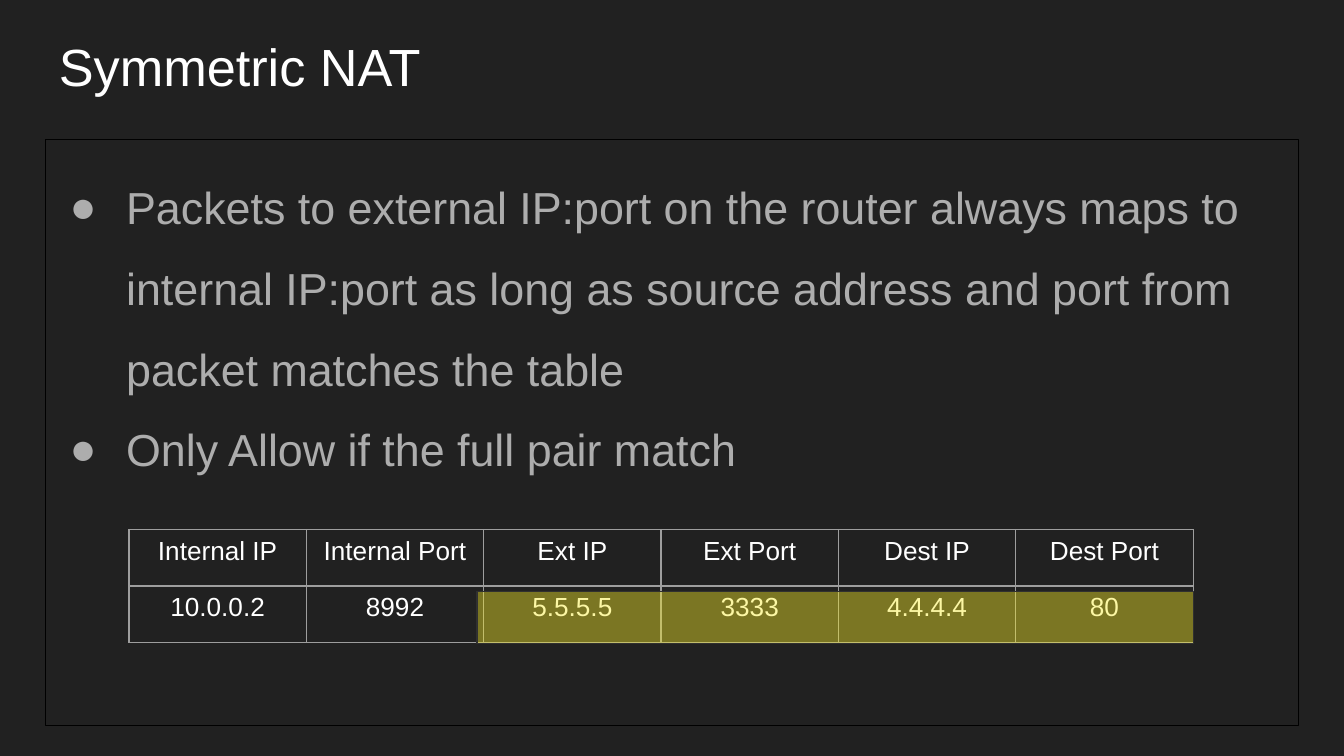
from dataclasses import dataclass

from lxml import etree
from pptx import Presentation
from pptx.dml.color import RGBColor
from pptx.enum.shapes import MSO_SHAPE
from pptx.enum.text import MSO_ANCHOR, PP_ALIGN
from pptx.oxml.ns import qn
from pptx.util import Inches, Pt

CENTER = PP_ALIGN.CENTER
TOP = MSO_ANCHOR.TOP
RECTANGLE = MSO_SHAPE.RECTANGLE

BACKGROUND = RGBColor(0x21, 0x21, 0x21)
WHITE = RGBColor(0xFF, 0xFF, 0xFF)
BLACK = RGBColor(0x00, 0x00, 0x00)
BODY_GRAY = RGBColor(0xAD, 0xAD, 0xAD)
BORDER_GRAY = RGBColor(0x9E, 0x9E, 0x9E)
YELLOW = RGBColor(0xF8, 0xEC, 0x28)
OUTLINE = RGBColor(0x30, 0x30, 0x30)

FONT = "Arial"
LINE_WIDTH = Pt(0.75)


@dataclass
class TextBlock:
    left: float
    top: float
    width: float
    height: float
    lines: list[str]
    size: int
    color: RGBColor
    line_spacing: float
    bulleted: bool = False


def set_font(paragraph, size: int, color: RGBColor) -> None:
    paragraph.font.name = FONT
    paragraph.font.size = Pt(size)
    paragraph.font.color.rgb = color


def add_bullet(paragraph, color: RGBColor) -> None:
    properties = paragraph._p.get_or_add_pPr()
    properties.set("marL", str(Inches(0.5)))
    properties.set("indent", str(Inches(-0.42)))
    bullet_color = etree.SubElement(properties, qn("a:buClr"))
    etree.SubElement(bullet_color, qn("a:srgbClr"), val=str(color))
    etree.SubElement(properties, qn("a:buFont"), typeface=FONT)
    etree.SubElement(properties, qn("a:buChar"), char="●")


def add_text(slide, block: TextBlock):
    box = slide.shapes.add_textbox(Inches(block.left), Inches(block.top),
                                   Inches(block.width), Inches(block.height))
    frame = box.text_frame
    frame.word_wrap = True
    frame.vertical_anchor = TOP
    frame.margin_left = frame.margin_right = Inches(0.1)
    frame.margin_top = frame.margin_bottom = Inches(0.1)
    frame.text = "\n".join(block.lines)
    for paragraph in frame.paragraphs:
        if block.bulleted:
            add_bullet(paragraph, block.color)
        paragraph.line_spacing = block.line_spacing
        set_font(paragraph, block.size, block.color)
    return box


def add_borders(cell) -> None:
    properties = cell._tc.get_or_add_tcPr()
    for position, side in enumerate(("a:lnL", "a:lnR", "a:lnT", "a:lnB")):
        border = etree.Element(qn(side), w=str(LINE_WIDTH))
        fill = etree.SubElement(border, qn("a:solidFill"))
        etree.SubElement(fill, qn("a:srgbClr"), val=str(BORDER_GRAY))
        properties.insert(position, border)


def add_mapping_table(slide, rows: list[list[str]]) -> None:
    column_width, row_height = Inches(1.32), Inches(0.42)
    table = slide.shapes.add_table(
        len(rows), len(rows[0]), Inches(0.96), Inches(3.94),
        column_width * len(rows[0]), row_height * len(rows)).table
    table.first_row = False
    table.horz_banding = False
    for row, values in zip(table.rows, rows):
        row.height = row_height
        for cell, value in zip(row.cells, values):
            cell.margin_left = cell.margin_right = Inches(0.1)
            cell.margin_top = cell.margin_bottom = Inches(0.05)
            cell.fill.background()
            add_borders(cell)
            cell.text = value
            paragraph = cell.text_frame.paragraphs[0]
            paragraph.alignment = CENTER
            set_font(paragraph, 14, WHITE)


def add_highlight(slide) -> None:
    highlight = slide.shapes.add_shape(RECTANGLE, Inches(3.55), Inches(4.4),
                                       Inches(5.33), Inches(0.39))
    highlight.shadow.inherit = False
    highlight.fill.solid()
    highlight.fill.fore_color.rgb = YELLOW
    highlight.line.color.rgb = OUTLINE
    highlight.line.width = LINE_WIDTH
    tint = highlight._element.spPr.find(qn("a:solidFill")).find(qn("a:srgbClr"))
    etree.SubElement(tint, qn("a:alpha"), val="42000")


def main() -> None:
    # Widescreen slide, 16:9
    presentation = Presentation()
    presentation.slide_width = Inches(10)
    presentation.slide_height = Inches(10) * 9 // 16
    slide = presentation.slides.add_slide(presentation.slide_layouts[6])
    slide.background.fill.solid()
    slide.background.fill.fore_color.rgb = BACKGROUND

    # Title
    add_text(slide, TextBlock(0.34, 0.21, 9.32, 0.63, ["Symmetric NAT"],
                              28, WHITE, 0.9))

    # Framed explanation
    explanation = add_text(slide, TextBlock(0.34, 1.04, 9.32, 4.36, [
        "Packets to external IP:port on the router always maps to internal "
        "IP:port as long as source address and port from packet matches the table",
        "Only Allow if the full pair match",
    ], 24, BODY_GRAY, 1.5, bulleted=True))
    explanation.line.color.rgb = BLACK
    explanation.line.width = LINE_WIDTH

    # Address mapping, with the matched pair highlighted
    add_mapping_table(slide, [
        ["Internal IP", "Internal Port", "Ext IP", "Ext Port", "Dest IP", "Dest Port"],
        ["10.0.0.2", "8992", "5.5.5.5", "3333", "4.4.4.4", "80"],
    ])
    add_highlight(slide)

    presentation.save("out.pptx")


if __name__ == "__main__":
    main()
